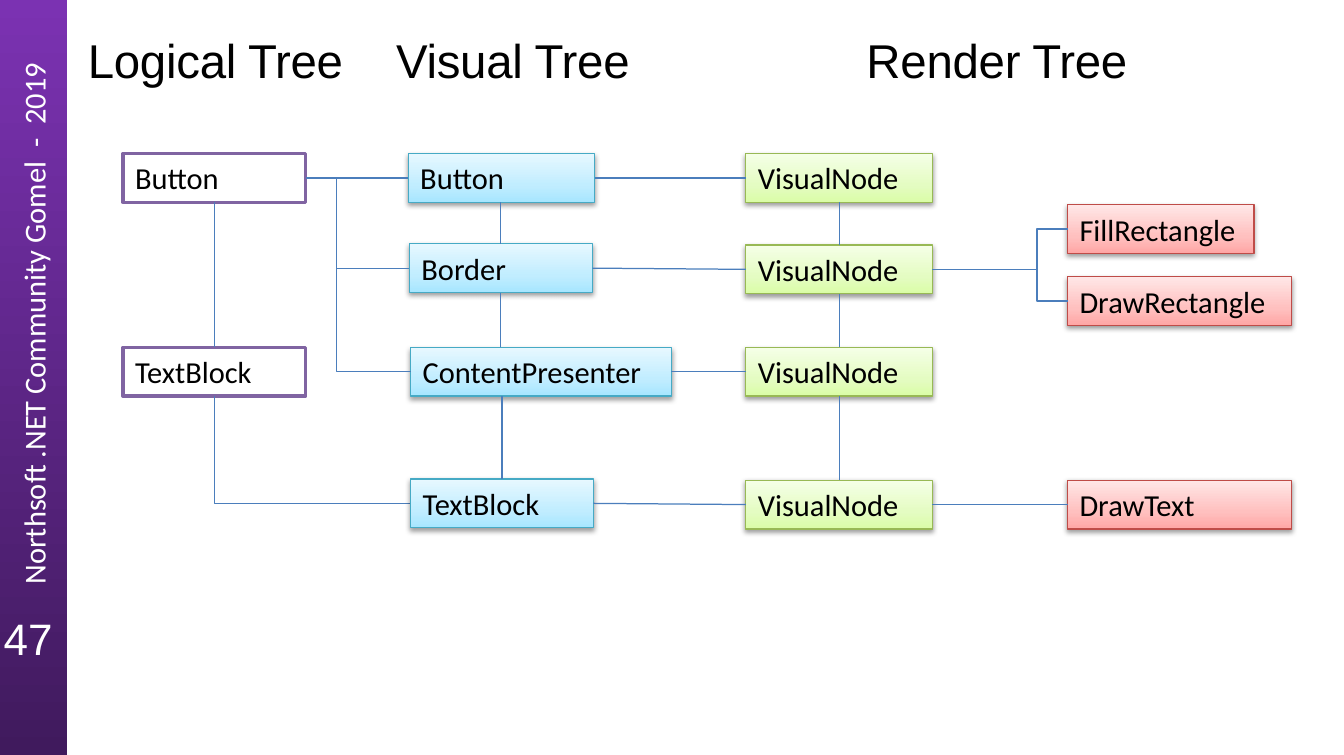
from lxml import etree
from pptx import Presentation
from pptx.dml.color import RGBColor
from pptx.enum.shapes import MSO_CONNECTOR as Conn, MSO_SHAPE as Geom
from pptx.enum.text import MSO_ANCHOR as Anchor, PP_ALIGN as Align
from pptx.oxml import parse_xml
from pptx.oxml.ns import nsdecls, qn
from pptx.util import Inches, Pt

WIDE, HIGH = Pt(794), Pt(446)
WIRE = "4B7EBC"
NODE = 0.4
# Grid: left edges of the columns and top edges of the rows
LOGIC, VISUAL, RENDER, DRAW = 1.01, 3.35, 6.12, 8.76
ROWS = (1.26, 2.0, 2.85, 3.93)
PAD = dict.fromkeys(("margin_left", "margin_right", "margin_top", "margin_bottom"), 0)

STYLES = {
    "logic": {"line": "8064A2", "width": 2},
    "visual": {"line": "46AAC5", "width": 0.75, "stops": ("A7E6FF", "C1EDFF", "E7F8FF")},
    "render": {"line": "98B955", "width": 0.75, "stops": ("DAFDA7", "E4FCC2", "F5FFE7")},
    "draw": {"line": "BF4C48", "width": 0.75, "stops": ("FFA6A5", "FFC0BF", "FFE7E7")},
}


def rgb(code):
    return RGBColor.from_string(code)


def write(shape, text, size, font, color="000000", **frame):
    box = shape.text_frame
    for name, value in {"word_wrap": True, "vertical_anchor": Anchor.TOP, **frame}.items():
        setattr(box, name, value)
    para = box.paragraphs[0]
    para.alignment = Align.LEFT
    run = para.add_run()
    run.text = text
    for name, value in {"size": Pt(size), "name": font}.items():
        setattr(run.font, name, value)
    run.font.color.rgb = rgb(color)
    return para


def shade(shape, stops, angle):
    """Fill with a linear gradient of (percent, colour) stops."""
    marks = "".join(
        f'<a:gs pos="{pos * 1000}"><a:srgbClr val="{code}"/></a:gs>' for pos, code in stops
    )
    grad = parse_xml(
        f'<a:gradFill {nsdecls("a")} rotWithShape="1"><a:gsLst>{marks}</a:gsLst>'
        f'<a:lin ang="{angle * 60000}" scaled="0"/></a:gradFill>'
    )
    shape.element.spPr.find(qn("a:prstGeom")).addnext(grad)


def drop(shape):
    """Add a soft shadow below the shape."""
    shape.element.spPr.find(qn("a:effectLst")).append(parse_xml(
        f'<a:outerShdw {nsdecls("a")} blurRad="{Pt(3.1)}" dist="{Pt(1.6)}" dir="5400000" '
        'rotWithShape="0"><a:srgbClr val="000000"><a:alpha val="38000"/></a:srgbClr>'
        '</a:outerShdw>'
    ))


def rect(slide, *box):
    shape = slide.shapes.add_shape(Geom.RECTANGLE, *map(Inches, box))
    shape.shadow.inherit = False
    return shape


def wire(slide, x1, y1, x2, y2, bent=False):
    """Draw a line; a bent one runs across first, then up or down."""
    kind = Conn.ELBOW if bent else Conn.STRAIGHT
    line = slide.shapes.add_connector(kind, *map(Inches, (x1, y1, x2, y2)))
    line.line.color.rgb = rgb(WIRE)
    line.line.width = Pt(0.75)
    props = line.element.spPr
    if bent:
        props.find(qn("a:prstGeom")).set("prst", "bentConnector2")
    etree.SubElement(props, qn("a:effectLst"))


def node(slide, style, text, left, top, width):
    look = STYLES[style]
    shape = rect(slide, left, top, width, NODE)
    shape.line.color.rgb = rgb(look["line"])
    shape.line.width = Pt(look["width"])
    if "stops" in look:
        shade(shape, zip((0, 35, 100), look["stops"]), 270)
        drop(shape)
    else:
        shape.fill.solid()
        shape.fill.fore_color.rgb = rgb("FFFFFF")
    write(shape, text, 18, "Calibri")


def chain(slide, x, tops):
    """Join each node of a column to the next one down."""
    for top, below in zip(tops, tops[1:]):
        wire(slide, x, top + NODE, x, below)


def tree(slide, style, left, items):
    """Place a column of nodes given as (text, top, width, indent)."""
    for text, top, width, indent in items:
        node(slide, style, text, left + indent, top, width)


def banner(slide, width, height):
    bar = rect(slide, 0, 0, width, height)
    bar.line.fill.background()
    shade(bar, ((0, "7B32B2"), (100, "401A5D")), 90)
    long, thick = 0.78 * height, 0.4
    label = slide.shapes.add_textbox(
        *map(Inches, (width / 2 - long / 2, 0.4 * height - thick / 2, long, thick)))
    label.rotation = 270
    write(label, "Northsoft .NET Community Gomel  -  2019", 18, "Calibri", "FFFFFF")
    page = slide.shapes.add_textbox(*map(Inches, (0.03, 5.04, 0.46, 0.43)))
    para = write(page, "47", 26, "Arial", "FFFFFF", **PAD)
    para.line_spacing = Pt(29.8)


def heads(slide, top):
    for text, left, width in (("Logical Tree", 0.72, 2.19), ("Visual Tree", 3.25, 1.96),
                              ("Render Tree", 7.11, 2.19)):
        box = [Inches(n) for n in (left, top, width, 0.49)]
        if left < LOGIC:
            shape = slide.shapes.title
            shape.left, shape.top, shape.width, shape.height = box
        else:
            shape = slide.shapes.add_textbox(*box)
        write(shape, text, 28, "Arial", **{**PAD, "margin_top": Pt(1)})
        for props in shape.element.iter(qn("a:rPr")):
            props.set("spc", "-15")


def trees(slide):
    first, second, third, last = ROWS
    half = NODE / 2
    stem, fork, join = LOGIC + 0.75, 2.76, 8.51

    tree(slide, "logic", LOGIC, (("Button", first, 1.5, 0), ("TextBlock", third, 1.5, 0)))
    chain(slide, stem, (first, third))
    wire(slide, VISUAL + 0.02, last + half, stem, third + NODE, True)

    parts = (("Button", 1.53, 0), ("Border", 1.5, 0.01),
             ("ContentPresenter", 2.14, 0.02), ("TextBlock", 1.5, 0.02))
    tree(slide, "visual", VISUAL, [(t, y, w, dx) for (t, w, dx), y in zip(parts, ROWS)])
    chain(slide, VISUAL + 0.76, ROWS[:3])
    chain(slide, VISUAL + 0.77, ROWS[2:])
    wire(slide, LOGIC + 1.5, first + half, VISUAL, first + half)
    wire(slide, VISUAL + 0.02, third + half, fork, first + half, True)
    wire(slide, VISUAL + 0.01, second + half, fork, second + half)

    levels = (first, second + 0.01, third, last + 0.01)
    tree(slide, "render", RENDER, [("VisualNode", y, 1.53, 0) for y in levels])
    chain(slide, RENDER + 0.77, levels)
    for (_, width, indent), y, level in zip(parts, ROWS, levels):
        wire(slide, VISUAL + indent + width, y + half, RENDER, level + half)

    calls = (("FillRectangle", 1.68, 1.53, 0), ("DrawRectangle", 2.27, 1.84, 0),
             ("DrawText", levels[3], 1.84, 0))
    tree(slide, "draw", DRAW, calls)
    split = levels[1] + half
    for _, top, _, _ in calls[:2]:
        wire(slide, DRAW, top + half, join, split, True)
    wire(slide, RENDER + 1.53, split, join, split)
    wire(slide, RENDER + 1.53, levels[3] + half, DRAW, levels[3] + half)


def main():
    deck = Presentation()
    deck.slide_width, deck.slide_height = WIDE, HIGH
    slide = deck.slides.add_slide(deck.slide_layouts[5])
    banner(slide, 0.55, HIGH.inches)
    heads(slide, 0.24)
    trees(slide)
    deck.save("out.pptx")


if __name__ == "__main__":
    main()
